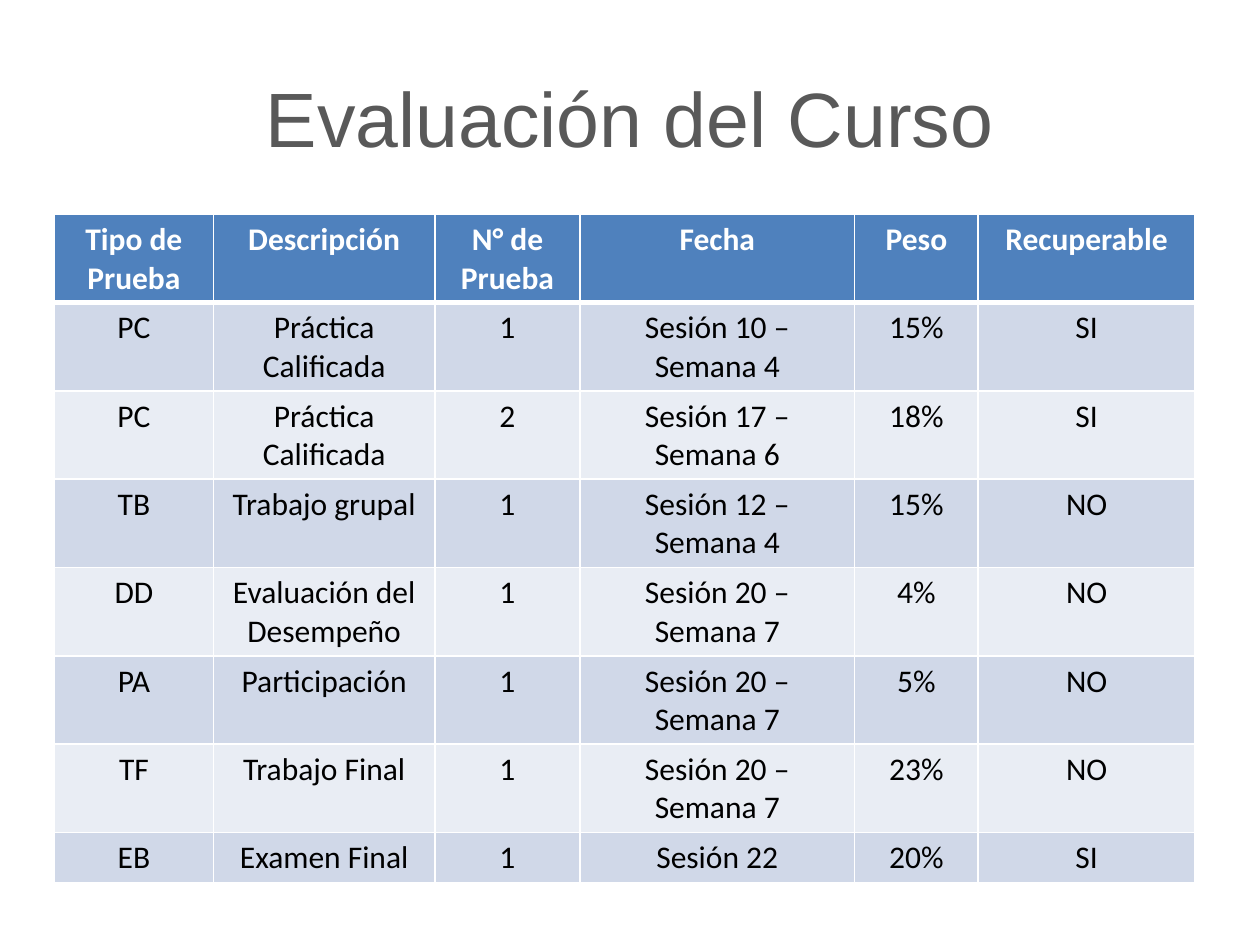
from lxml import etree
from pptx import Presentation
from pptx.dml.color import RGBColor
from pptx.enum.text import MSO_ANCHOR, PP_ALIGN
from pptx.oxml.ns import qn
from pptx.util import Cm, Pt

CENTER = PP_ALIGN.CENTER
MIDDLE = MSO_ANCHOR.MIDDLE
BLANK_LAYOUT = 6

COLORS = {
    "title": "595959",
    "header": "4F81BD",
    "header_text": "FFFFFF",
    "odd_row": "D0D8E8",
    "even_row": "E9EDF4",
    "body_text": "000000",
    "border": "FFFFFF",
}

HEADINGS = ["Tipo de Prueba", "Descripción", "N° de Prueba", "Fecha", "Peso", "Recuperable"]
ASSESSMENTS = [
    ["PC", "Práctica Calificada", "1", "Sesión 10 – Semana 4", "15%", "SI"],
    ["PC", "Práctica Calificada", "2", "Sesión 17 – Semana 6", "18%", "SI"],
    ["TB", "Trabajo grupal", "1", "Sesión 12 – Semana 4", "15%", "NO"],
    ["DD", "Evaluación del Desempeño", "1", "Sesión 20 – Semana 7", "4%", "NO"],
    ["PA", "Participación", "1", "Sesión 20 – Semana 7", "5%", "NO"],
    ["TF", "Trabajo Final", "1", "Sesión 20 – Semana 7", "23%", "NO"],
    ["EB", "Examen Final", "1", "Sesión 22", "20%", "SI"],
]
COLUMN_WIDTHS = [3.2, 4.47, 2.92, 5.54, 2.49, 4.37]
TWO_LINE_HEIGHT, ONE_LINE_HEIGHT = 1.78, 1.02


def write_text(frame, text, *, font, size, color, bold=False, align=CENTER):
    paragraph = frame.paragraphs[0]
    paragraph.alignment = align
    run = paragraph.add_run()
    run.text = text
    run.font.name = font
    run.font.size = Pt(size)
    run.font.bold = bold
    run.font.color.rgb = RGBColor.from_string(COLORS[color])


def set_borders(cell, **widths):
    """Draw the sides L, R, T and B in the given point widths."""
    properties = cell._tc.get_or_add_tcPr()
    for position, side in enumerate("LRTB"):
        line = etree.Element(qn(f"a:ln{side}"), w=str(Pt(widths[side])))
        fill = etree.SubElement(line, qn("a:solidFill"))
        etree.SubElement(fill, qn("a:srgbClr"), val=COLORS["border"])
        properties.insert(position, line)


class SlideBuilder:
    title_font = "Arial"
    table_font = "Calibri"

    def __init__(self, slide):
        self.slide = slide

    def title(self, text, left, top, width, height):
        box = self.slide.shapes.add_textbox(Cm(left), Cm(top), Cm(width), Cm(height))
        frame = box.text_frame
        frame.word_wrap = True
        frame.vertical_anchor = MIDDLE
        write_text(frame, text, font=self.title_font, size=44, color="title")

    def table(self, rows, left, top, widths, heights):
        """Add a banded table whose first row is the header."""
        table = self.slide.shapes.add_table(
            len(rows), len(widths), Cm(left), Cm(top), Cm(sum(widths)), Cm(sum(heights))
        ).table
        for column, width in zip(table.columns, widths):
            column.width = Cm(width)
        for index, (row, height, texts) in enumerate(zip(table.rows, heights, rows)):
            row.height = Cm(height)
            for cell, text in zip(row.cells, texts):
                self.cell(cell, text, index)

    def cell(self, cell, text, row_index):
        is_header = row_index == 0
        band = "header" if is_header else "odd_row" if row_index % 2 else "even_row"
        cell.fill.solid()
        cell.fill.fore_color.rgb = RGBColor.from_string(COLORS[band])
        set_borders(cell, L=1, R=1, T=3 if row_index == 1 else 1, B=3 if is_header else 1)
        write_text(
            cell.text_frame, text, font=self.table_font, size=18, bold=is_header,
            color="header_text" if is_header else "body_text",
        )


def main():
    presentation = Presentation()
    presentation.slide_width, presentation.slide_height = Cm(25.4), Cm(19.05)
    builder = SlideBuilder(presentation.slides.add_slide(presentation.slide_layouts[BLANK_LAYOUT]))
    builder.title("Evaluación del Curso", 1.27, 0.76, 22.86, 3.18)
    row_heights = [TWO_LINE_HEIGHT] * len(ASSESSMENTS) + [ONE_LINE_HEIGHT]
    builder.table([HEADINGS] + ASSESSMENTS, 1.1, 4.32, COLUMN_WIDTHS, row_heights)
    presentation.save("out.pptx")


if __name__ == "__main__":
    main()
